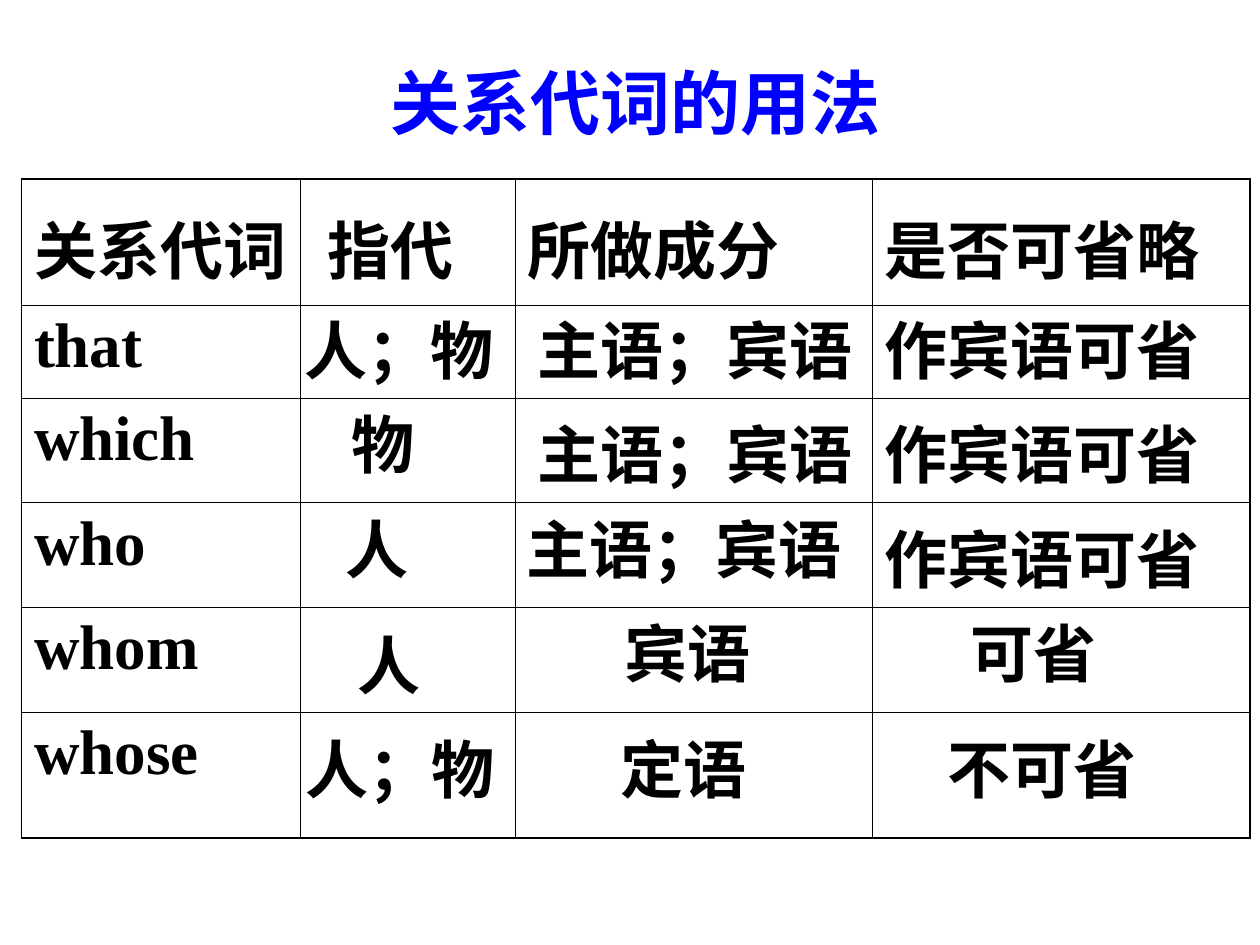
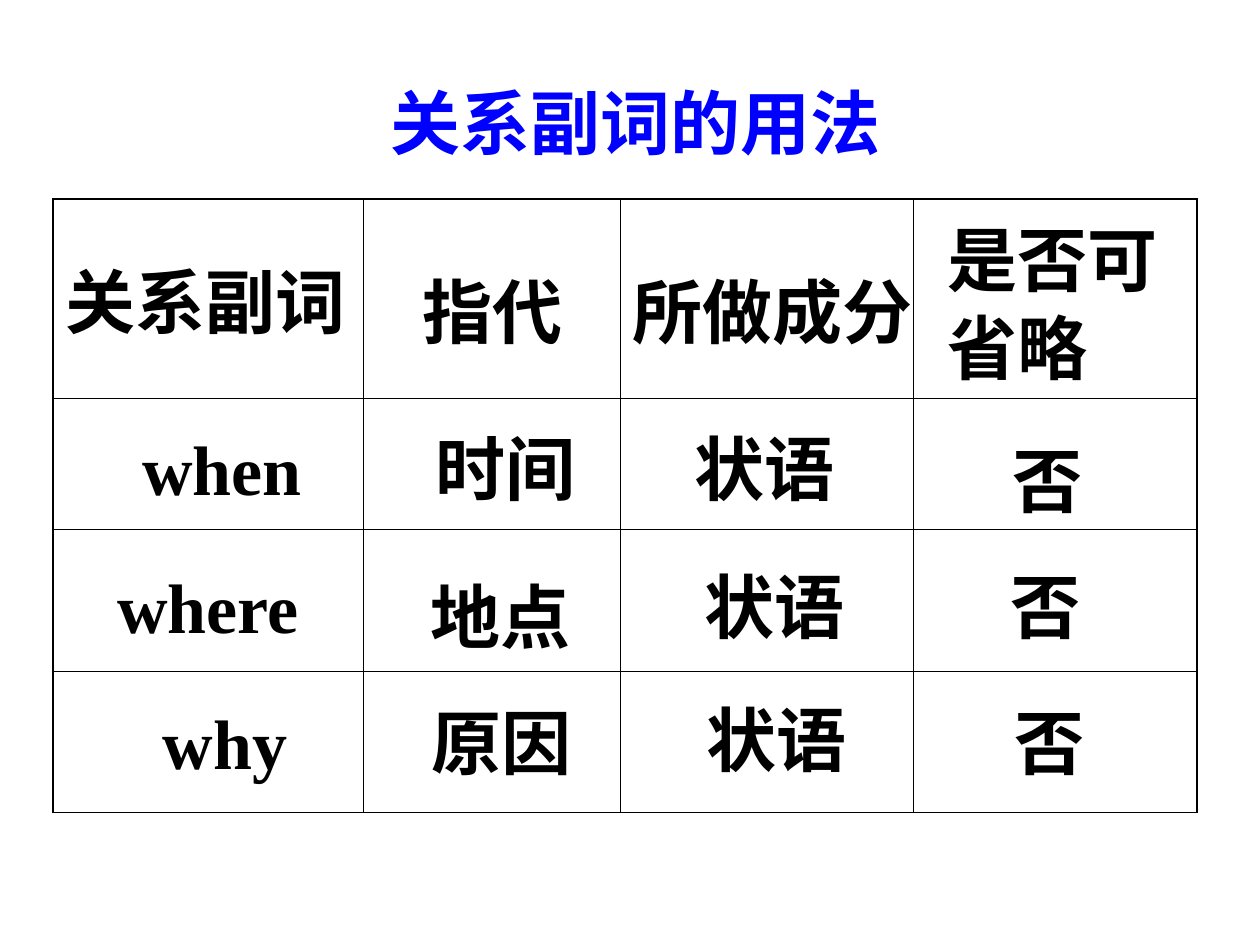
from lxml.etree import SubElement
from pptx import Presentation
from pptx.dml.color import RGBColor
from pptx.enum.lang import MSO_LANGUAGE_ID
from pptx.enum.text import MSO_ANCHOR, MSO_AUTO_SIZE, PP_ALIGN
from pptx.oxml.ns import qn
from pptx.util import Pt

PX = 9144  # 100 px to the inch
FONT = "Times New Roman"
COLORS = {"title": "0000FF", "text": "000000", "grid": "000000"}
THIN, THICK = 0.45, 1.08
L, C = PP_ALIGN.LEFT, PP_ALIGN.CENTER

SLIDES = [
    {
        "title": "关系代词的用法", "title_top": 42, "size": 36, "box_height": 70,
        "table": (17, 142), "cols": [221, 171, 283, 300], "rows": [100, 74, 83, 83, 83, 100],
        "cells": [["关系代词", "指代", "所做成分", "是否可省略"],
                  ["that"], ["which"], ["who"], ["whom"], ["whose"]],
        "labels": [
            ("人；物", 225, 242, 183, C), ("主语；宾语", 417, 242, 283, L),
            ("作宾语可省", 692, 242, 283, L),
            ("物", 225, 317, 158, C), ("主语；宾语", 417, 325, 308, L),
            ("作宾语可省", 692, 325, 275, L),
            ("人", 233, 400, 133, C), ("主语；宾语", 408, 400, 292, L),
            ("作宾语可省", 692, 408, 275, L),
            ("人", 225, 492, 167, C), ("宾语", 467, 483, 158, C), ("可省", 733, 483, 175, C),
            ("人；物", 233, 575, 183, L), ("定语", 483, 575, 142, L), ("不可省", 742, 575, 183, L),
        ],
    },
    {
        "title": "关系副词的用法", "title_top": 58, "size": 40, "box_height": 77,
        "table": (42, 158), "cols": [246, 204, 233, 225], "rows": [158, 104, 113, 112],
        "cells": [],
        "labels": [
            ("关系副词", 42, 200, 247, L), ("指代", 267, 208, 247, C),
            ("所做成分", 492, 208, 258, L), ("是否可\n省略", 742, 167, 208, L),
            ("when", 75, 333, 202, C), ("时间", 283, 333, 236, C),
            ("状语", 483, 333, 247, C), ("否", 725, 342, 213, C),
            ("where", 75, 442, 180, C), ("地点", 308, 450, 179, C),
            ("状语", 508, 442, 213, C), ("否", 768, 442, 123, C),
            ("why", 100, 550, 157, C), ("原因", 325, 550, 146, C),
            ("状语", 498, 548, 236, C), ("否", 765, 550, 135, C),
        ],
    },
]


def write(tf, text, size=36, color="text", align=L):
    for i, line in enumerate(text.split("\n")):
        p = tf.paragraphs[0] if i == 0 else tf.add_paragraph()
        p.alignment = align
        p.space_before = Pt(2.5 if i else 0)
        r = p.add_run()
        r.text = line
        r.font.size, r.font.bold, r.font.name = Pt(size), True, FONT
        r.font.language_id = MSO_LANGUAGE_ID.SIMPLIFIED_CHINESE
        r.font.color.rgb = RGBColor.from_string(COLORS[color])


def set_borders(cell, widths):
    """Draw the left, right, top and bottom edges, widths in points."""
    tcPr = cell._tc.get_or_add_tcPr()
    for i, (edge, width) in enumerate(zip(("lnL", "lnR", "lnT", "lnB"), widths)):
        ln = tcPr.makeelement(qn(f"a:{edge}"), {"w": str(Pt(width))})
        fill = SubElement(ln, qn("a:solidFill"))
        SubElement(fill, qn("a:srgbClr")).set("val", COLORS["grid"])
        tcPr.insert(i, ln)


prs = Presentation()
prs.slide_width, prs.slide_height = 1000 * PX, 750 * PX

for page in SLIDES:
    s = prs.slides.add_slide(prs.slide_layouts[5])
    title = s.shapes.title
    title.left, title.top = 300 * PX, page["title_top"] * PX
    title.width, title.height = 430 * PX, 77 * PX
    title.text_frame.word_wrap = True
    title.text_frame.auto_size = MSO_AUTO_SIZE.NONE
    title.text_frame.vertical_anchor = MSO_ANCHOR.TOP
    write(title.text_frame, page["title"], size=40, color="title")

    cols, rows = page["cols"], page["rows"]
    left, top = page["table"]
    table = s.shapes.add_table(len(rows), len(cols), left * PX, top * PX,
                               sum(cols) * PX, sum(rows) * PX).table
    table.first_row = table.horz_banding = False
    for column, width in zip(table.columns, cols):
        column.width = width * PX
    for row, height in zip(table.rows, rows):
        row.height = height * PX
    for y in range(len(rows)):
        for x in range(len(cols)):
            cell = table.cell(y, x)
            cell.fill.background()
            outer = (x == 0, x == len(cols) - 1, y == 0, y == len(rows) - 1)
            set_borders(cell, [THICK if edge else THIN for edge in outer])
    for y, texts in enumerate(page["cells"]):
        for x, text in enumerate(texts):
            cell = table.cell(y, x)
            cell.margin_top = (18 if y == 0 else 5) * PX
            cell.margin_left = (22 if text == "指代" else 10) * PX
            write(cell.text_frame, text, size=page["size"])

    for text, x, y, width, align in page["labels"]:
        height = page["box_height"] + 70 * text.count("\n")
        sp = s.shapes.add_textbox(x * PX, y * PX, width * PX, height * PX)
        sp.text_frame.word_wrap = True
        write(sp.text_frame, text, size=page["size"], align=align)

prs.save("out.pptx")
